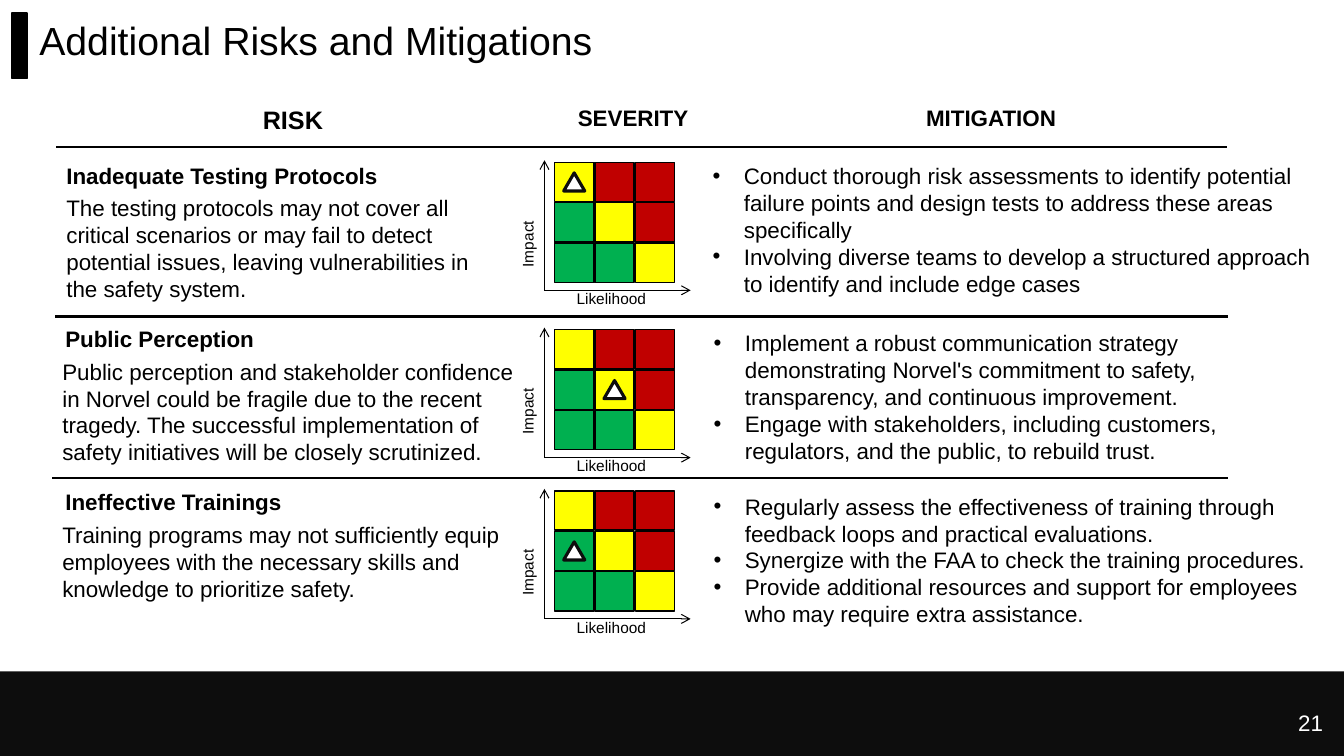
from dataclasses import dataclass
from lxml.etree import SubElement
from pptx import Presentation
from pptx.dml.color import RGBColor
from pptx.enum.shapes import MSO_CONNECTOR as Connector, MSO_SHAPE as Shape
from pptx.enum.text import MSO_ANCHOR as Anchor, MSO_AUTO_SIZE as AutoSize, PP_ALIGN as Align
from pptx.oxml.ns import qn
from pptx.util import Inches, Pt

# Content
TITLE = "Additional Risks and Mitigations"
PAGE_NUMBER = "21"

# Each heading: text, (left, top, width, height), size name
HEADINGS = [
    ("RISK", (2.41, 0.99, 0.99, 0.4), "large_heading"),
    ("SEVERITY", (5.6, 0.98, 1.36, 0.37), "body"),
    ("MITIGATION", (7.36, 0.98, 4.94, 0.37), "body"),
]

# Boxes are (left, top, width, height); marker is the (row, column) of the rating
RISKS = [
    {
        "name": "Inadequate Testing Protocols",
        "name_box": (0.56, 1.56, 3.44, 0.37),
        "description": "The testing protocols may not cover all critical scenarios or may fail "
                       "to detect potential issues, leaving vulnerabilities in the safety system.",
        "description_box": (0.56, 1.88, 4.42, 1.18),
        "matrix_top": 1.61,
        "marker": (0, 0),
        "mitigations": [
            "Conduct thorough risk assessments to identify potential failure points and design "
            "tests to address these areas specifically",
            "Involving diverse teams to develop a structured approach to identify and include "
            "edge cases",
        ],
        "mitigation_box": (6.97, 1.56, 6.24, 1.45),
    },
    {
        "name": "Public Perception",
        "name_box": (0.55, 3.18, 3.44, 0.37),
        "description": "Public perception and stakeholder confidence in Norvel could be fragile "
                       "due to the recent tragedy. The successful implementation of safety "
                       "initiatives will be closely scrutinized.",
        "description_box": (0.52, 3.5, 4.9, 1.18),
        "matrix_top": 3.27,
        "marker": (1, 1),
        "mitigations": [
            "Implement a robust communication strategy demonstrating Norvel's commitment to "
            "safety, transparency, and continuous improvement.",
            "Engage with stakeholders, including customers, regulators, and the public, to "
            "rebuild trust.",
        ],
        "mitigation_box": (6.98, 3.22, 5.97, 1.72),
    },
    {
        "name": "Ineffective Trainings",
        "name_box": (0.55, 4.79, 3.44, 0.37),
        "description": "Training programs may not sufficiently equip employees with the "
                       "necessary skills and knowledge to prioritize safety.",
        "description_box": (0.52, 5.12, 4.9, 0.91),
        "matrix_top": 4.87,
        "marker": (1, 0),
        "mitigations": [
            "Regularly assess the effectiveness of training through feedback loops and "
            "practical evaluations.",
            "Synergize with the FAA to check the training procedures.",
            "Provide additional resources and support for employees who may require extra "
            "assistance.",
        ],
        "mitigation_box": (6.98, 4.84, 6.14, 1.45),
    },
]

# Dividers: left, right, height on the slide
DIVIDERS = [(0.56, 12.17, 1.46), (0.55, 12.18, 3.14), (0.52, 12.18, 4.74)]

# Matrix geometry
MATRIX_LEFT, CELL, PITCH = 5.5, 0.39, 0.4
AXIS_LEFT, AXIS_RIGHT = 5.4, 6.85
MARKER_WIDTH, MARKER_HEIGHT = 0.21, 0.18
BULLET_INDENT = 0.31


@dataclass
class Theme:
    font: str = "Arial"
    black: str = "000000"
    band: str = "0D0D0D"
    white: str = "FFFFFF"
    low: str = "00B050"
    medium: str = "FFFF00"
    high: str = "C00000"
    title: int = 28
    large_heading: int = 18
    body: int = 16
    axis: int = 11


theme = Theme()


def color(value):
    return RGBColor.from_string(value)


def add_run(paragraph, text, size, bold=False, text_color=theme.black):
    run = paragraph.add_run()
    run.text = text
    run.font.name = theme.font
    run.font.size = Pt(size)
    run.font.bold = bold
    run.font.color.rgb = color(text_color)


def add_bullet(paragraph):
    properties = paragraph._p.get_or_add_pPr()
    properties.set("marL", str(Inches(BULLET_INDENT)))
    properties.set("indent", str(-Inches(BULLET_INDENT)))
    SubElement(properties, qn("a:buFont")).set("typeface", theme.font)
    SubElement(properties, qn("a:buChar")).set("char", "•")


def add_text(shapes, box, lines, size, bold=False, align=Align.LEFT,
             text_color=theme.black, bullets=False):
    text_box = shapes.add_textbox(*map(Inches, box))
    frame = text_box.text_frame
    frame.word_wrap = True
    frame.auto_size = AutoSize.SHAPE_TO_FIT_TEXT
    for index, line in enumerate(lines):
        paragraph = frame.add_paragraph() if index else frame.paragraphs[0]
        paragraph.alignment = align
        if bullets:
            add_bullet(paragraph)
        add_run(paragraph, line, size, bold, text_color)
    return text_box


def add_block(shapes, kind, box, fill, line=None, line_width=1):
    shape = shapes.add_shape(kind, *map(Inches, box))
    shape.shadow.inherit = False
    shape.fill.solid()
    shape.fill.fore_color.rgb = color(fill)
    if line:
        shape.line.color.rgb = color(line)
        shape.line.width = Pt(line_width)
    else:
        shape.line.fill.background()


def add_line(shapes, start, end, width, arrow=False):
    connector = shapes.add_connector(Connector.STRAIGHT, *map(Inches, start + end))
    connector.line.color.rgb = color(theme.black)
    connector.line.width = Pt(width)
    if arrow:
        SubElement(connector.line._get_or_add_ln(), qn("a:tailEnd")).set("type", "arrow")
    SubElement(connector._element.spPr, qn("a:effectLst"))


def add_matrix(slide, top, marker):
    shapes = slide.shapes.add_group_shape().shapes
    # Diagonal is medium, above it high, below it low
    for row in range(3):
        for column in range(3):
            level = theme.medium if row == column else theme.high if column > row else theme.low
            box = (MATRIX_LEFT + column * PITCH, top + row * PITCH, CELL, CELL)
            add_block(shapes, Shape.RECTANGLE, box, level, theme.black)
    # Axes and their labels
    origin = (AXIS_LEFT, top + 1.27)
    add_line(shapes, origin, (AXIS_RIGHT, top + 1.27), 0.75, arrow=True)
    add_line(shapes, origin, (AXIS_LEFT, top - 0.02), 0.75, arrow=True)
    impact = add_text(shapes, (4.67, top + 0.43, 1.13, 0.29), ["Impact"], theme.axis)
    impact.rotation = 270
    add_text(shapes, (5.62, top + 1.21, 1.13, 0.29), ["Likelihood"], theme.axis)
    # Rating marker, centred in its cell
    row, column = marker
    left = MATRIX_LEFT + column * PITCH + (CELL - MARKER_WIDTH) / 2
    marker_top = top + row * PITCH + (CELL - MARKER_HEIGHT) / 2
    add_block(shapes, Shape.ISOSCELES_TRIANGLE,
              (left, marker_top, MARKER_WIDTH, MARKER_HEIGHT), theme.white, theme.band, 2.25)


def main():
    presentation = Presentation()
    presentation.slide_width, presentation.slide_height = Inches(13.33), Inches(7.5)
    slide = presentation.slides.add_slide(presentation.slide_layouts[5])
    shapes = slide.shapes

    # Title, accent bar and footer
    title = shapes.title
    title.left, title.top, title.width, title.height = map(Inches, (0.29, 0, 13.04, 0.84))
    title.text_frame.auto_size = AutoSize.NONE
    title.text_frame.vertical_anchor = Anchor.MIDDLE
    paragraph = title.text_frame.paragraphs[0]
    paragraph.alignment = Align.LEFT
    paragraph.line_spacing = 0.9
    add_run(paragraph, TITLE, theme.title)
    add_block(shapes, Shape.RECTANGLE, (0.12, 0.13, 0.15, 0.65), theme.black, theme.black)
    add_block(shapes, Shape.RECTANGLE, (0, 6.66, 13.33, 0.84), theme.band)
    add_text(shapes, (10.22, 6.99, 3, 0.37), [PAGE_NUMBER], theme.body,
             align=Align.RIGHT, text_color=theme.white)

    # Column headings and dividers
    for text, box, size in HEADINGS:
        add_text(shapes, box, [text], getattr(theme, size), bold=True, align=Align.CENTER)
    for left, right, height in DIVIDERS:
        add_line(shapes, (left, height), (right, height), 1.5)

    # Risk rows
    for risk in RISKS:
        add_text(shapes, risk["name_box"], [risk["name"]], theme.body, bold=True)
        add_text(shapes, risk["description_box"], [risk["description"]], theme.body)
        add_matrix(slide, risk["matrix_top"], risk["marker"])
        add_text(shapes, risk["mitigation_box"], risk["mitigations"], theme.body, bullets=True)

    presentation.save("out.pptx")


if __name__ == "__main__":
    main()
